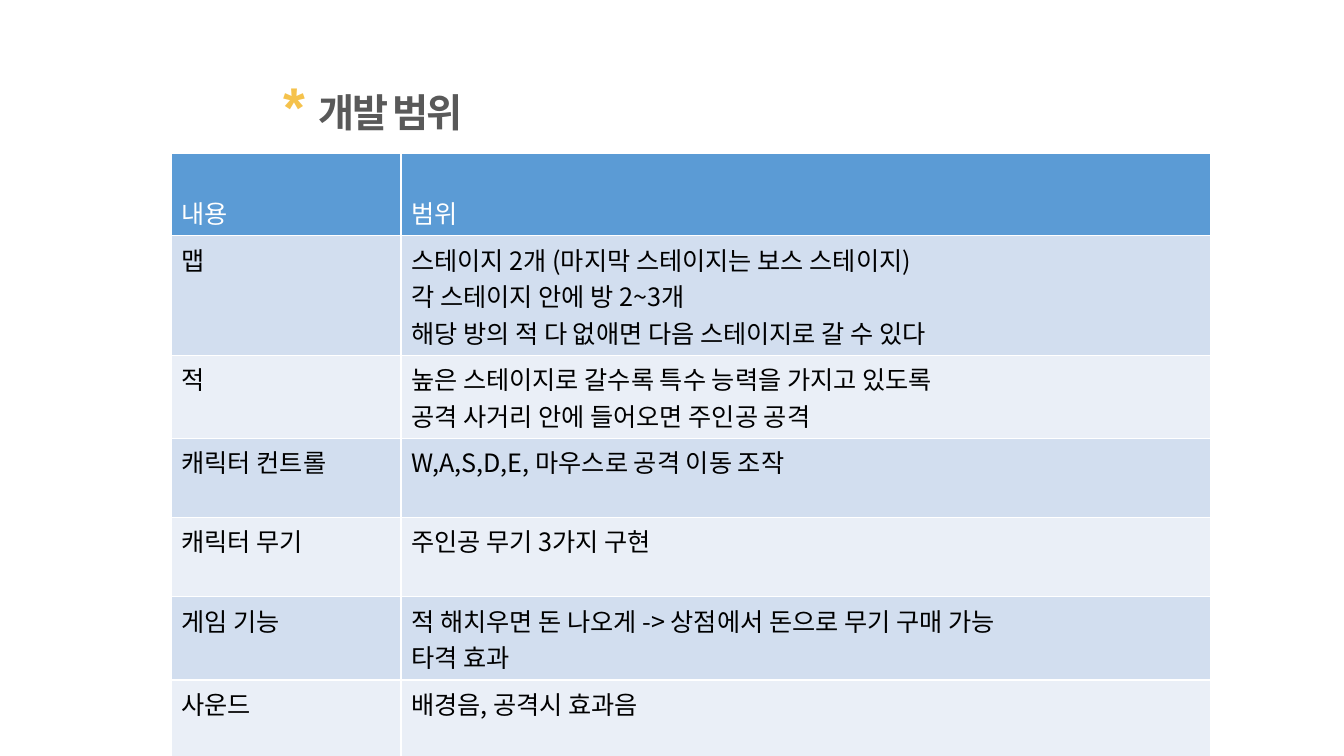
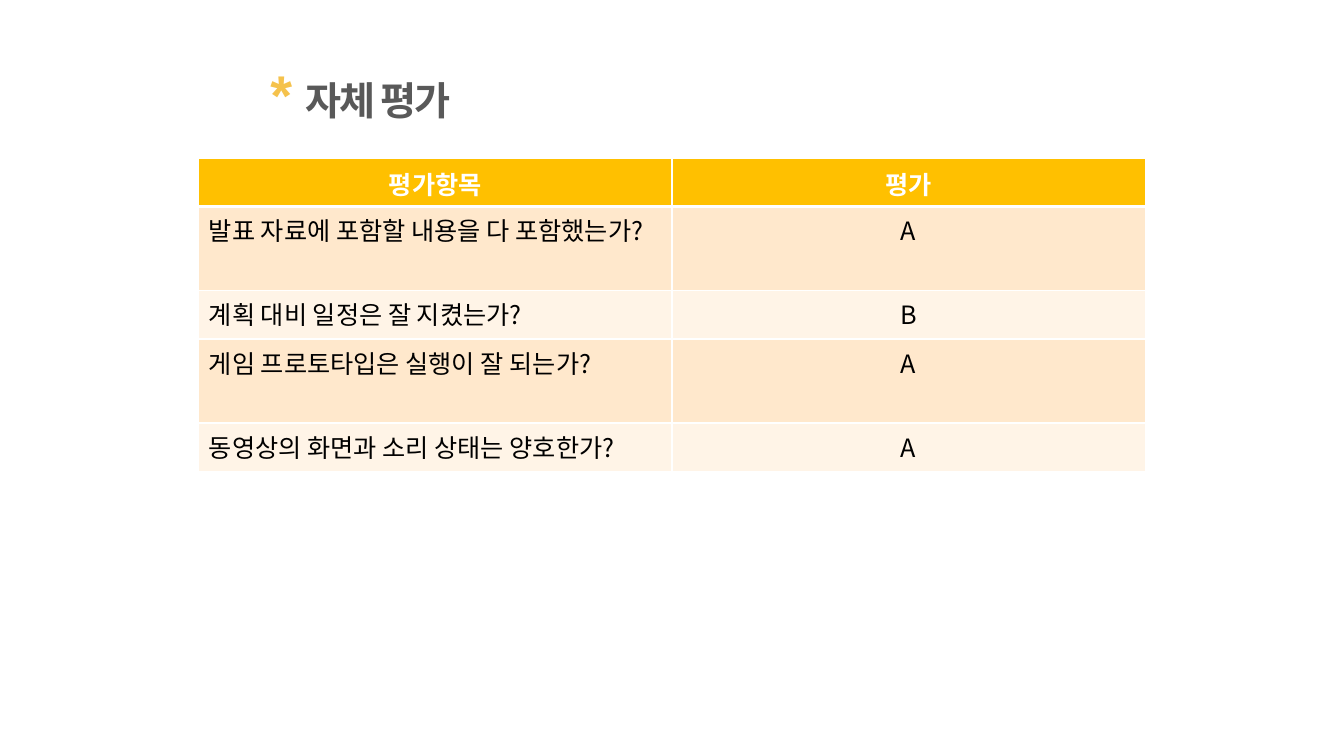
from lxml import etree
from pptx import Presentation
from pptx.dml.color import RGBColor
from pptx.enum.text import MSO_ANCHOR, PP_ALIGN
from pptx.oxml.ns import qn
from pptx.util import Pt

LEFT, CENTER = PP_ALIGN.LEFT, PP_ALIGN.CENTER
TOP, BOTTOM = MSO_ANCHOR.TOP, MSO_ANCHOR.BOTTOM
FONT, STAR_FONT = "Noto Sans CJK KR", "Arial"
WHITE, BLACK, GRAY, GOLD = "FFFFFF", "000000", "595959", "F5C24C"
BLUES = ("5B9BD5", "D2DEEF", "EAEFF7")
AMBERS = ("FFC000", "FFE8CC", "FFF4E7")


def rgb(code):
    return RGBColor.from_string(code)


class Deck:
    def __init__(self):
        self.prs = Presentation()
        self.prs.slide_width, self.prs.slide_height = Pt(960), Pt(540)
        self.slide = None

    def style(self, font, size, color, bold, name=FONT):
        font.size, font.bold, font.name = Pt(size), bold, name
        font.color.rgb = rgb(color)
        etree.SubElement(font._rPr, qn("a:ea"), typeface=FONT)

    def title(self, text, left, top):
        """Start a slide with a starred title."""
        self.slide = self.prs.slides.add_slide(self.prs.slide_layouts[5])
        box = self.slide.shapes.title
        box.left, box.top, box.width, box.height = map(Pt, (left, top, 561, 47.5))
        frame = box.text_frame
        frame.word_wrap, frame.vertical_anchor = True, TOP
        para = frame.paragraphs[0]
        para.alignment, para.line_spacing, para.space_before = LEFT, 1.0, Pt(8)
        parts = (("* ", 40, GOLD, STAR_FONT), (text, 28, GRAY, FONT))
        for word, size, color, name in parts:
            run = para.add_run()
            run.text = word
            self.style(run.font, size, color, True, name)
            run.font._rPr.set("spc", "-150")

    def border(self, cell, top, bottom):
        props = cell._tc.get_or_add_tcPr()
        for side, width in (("L", 1), ("R", 1), ("T", top), ("B", bottom)):
            line = etree.SubElement(props, qn(f"a:ln{side}"), w=str(Pt(width)))
            fill = etree.SubElement(line, qn("a:solidFill"))
            etree.SubElement(fill, qn("a:srgbClr"), val=WHITE)

    def table(self, left, top, widths, heights, rows, fills,
              bold=False, aligns=(LEFT, LEFT), head=LEFT, rule=1):
        """Add a table with a header row and two alternating row fills."""
        grid = self.slide.shapes.add_table(
            len(rows), len(widths), Pt(left), Pt(top),
            Pt(sum(widths)), Pt(sum(heights))).table
        for col, width in zip(grid.columns, widths):
            col.width = Pt(width)
        for i, (row, height) in enumerate(zip(rows, heights)):
            grid.rows[i].height = Pt(height)
            first = i == 0
            shade = fills[0] if first else fills[2 - i % 2]
            for j, text in enumerate(row):
                cell = grid.cell(i, j)
                self.border(cell, rule if i == 1 else 1, rule if first else 1)
                cell.fill.solid()
                cell.fill.fore_color.rgb = rgb(shade)
                cell.vertical_anchor = BOTTOM if first else TOP
                cell.text = text
                for para in cell.text_frame.paragraphs:
                    para.alignment = head if first else aligns[j]
                    self.style(para.font, 18, WHITE if first else BLACK,
                               first and bold)


def main():
    deck = Deck()

    # Development scope
    deck.title("개발 범위", 195, 47.5)
    scope = [
        ("내용", "범위"),
        ("맵", "스테이지 2개 (마지막 스테이지는 보스 스테이지)\n"
               "각 스테이지 안에 방 2~3개\n"
               "해당 방의 적 다 없애면 다음 스테이지로 갈 수 있다"),
        ("적", "높은 스테이지로 갈수록 특수 능력을 가지고 있도록\n"
               "공격 사거리 안에 들어오면 주인공 공격"),
        ("캐릭터 컨트롤", "W,A,S,D,E, 마우스로 공격 이동 조작"),
        ("캐릭터 무기", "주인공 무기 3가지 구현"),
        ("게임 기능", "적 해치우면 돈 나오게 -> 상점에서 돈으로 무기 구매 가능\n"
                  "타격 효과"),
        ("사운드", "배경음, 공격시 효과음"),
    ]
    deck.table(122.5, 109.5, (164, 578), [59] + [56.6] * 6, scope, BLUES)

    # Self assessment
    deck.title("자체 평가", 186, 39)
    marks = [
        ("평가항목", "평가"),
        ("발표 자료에 포함할 내용을 다 포함했는가?", "A"),
        ("계획 대비 일정은 잘 지켰는가?", "B"),
        ("게임 프로토타입은 실행이 잘 되는가?", "A"),
        ("동영상의 화면과 소리 상태는 양호한가?", "A"),
    ]
    deck.table(142, 113, (338, 338), (34.6, 60, 34.6, 60, 34.6), marks, AMBERS,
               bold=True, aligns=(LEFT, CENTER), head=CENTER, rule=3)

    deck.prs.save("out.pptx")


if __name__ == "__main__":
    main()
